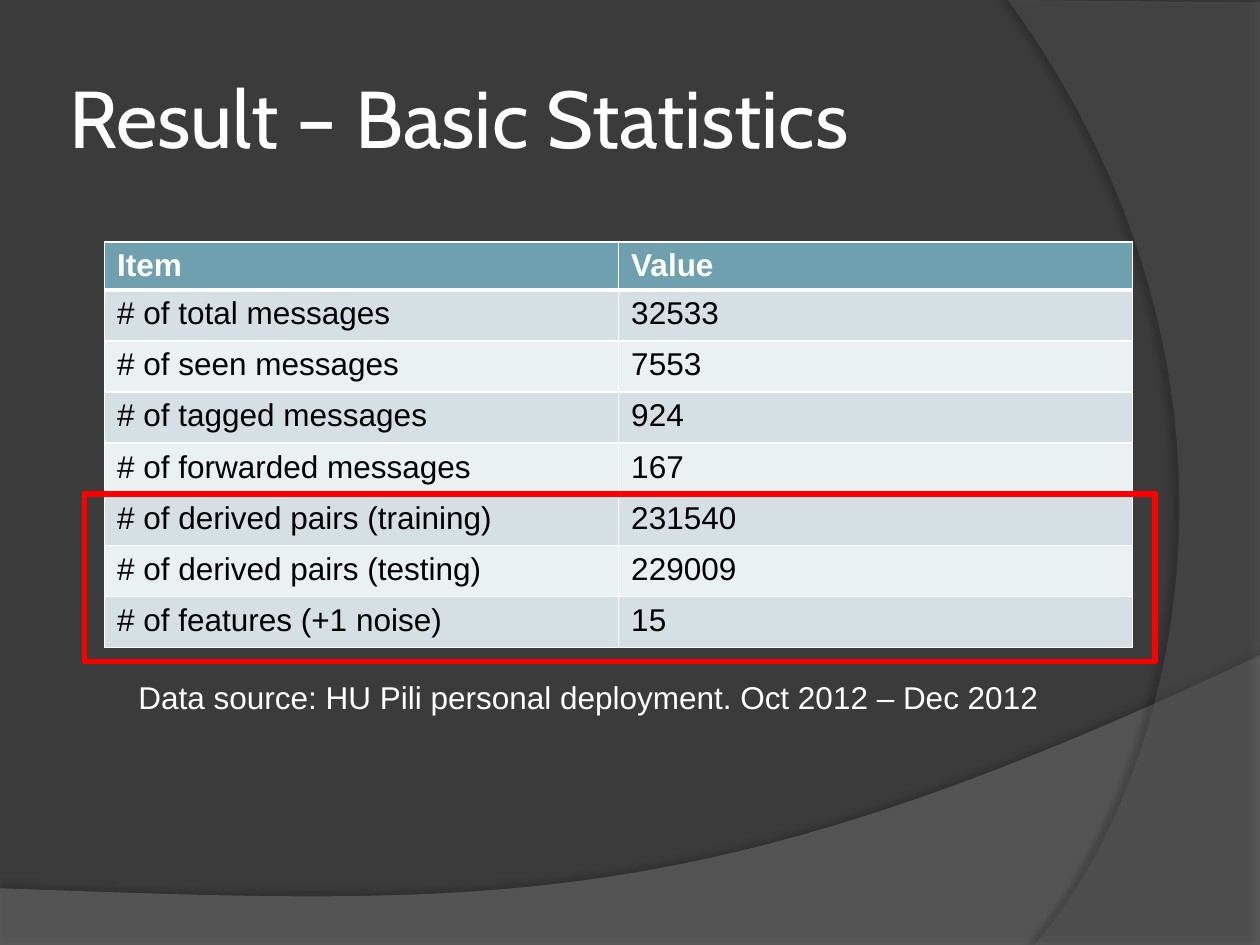
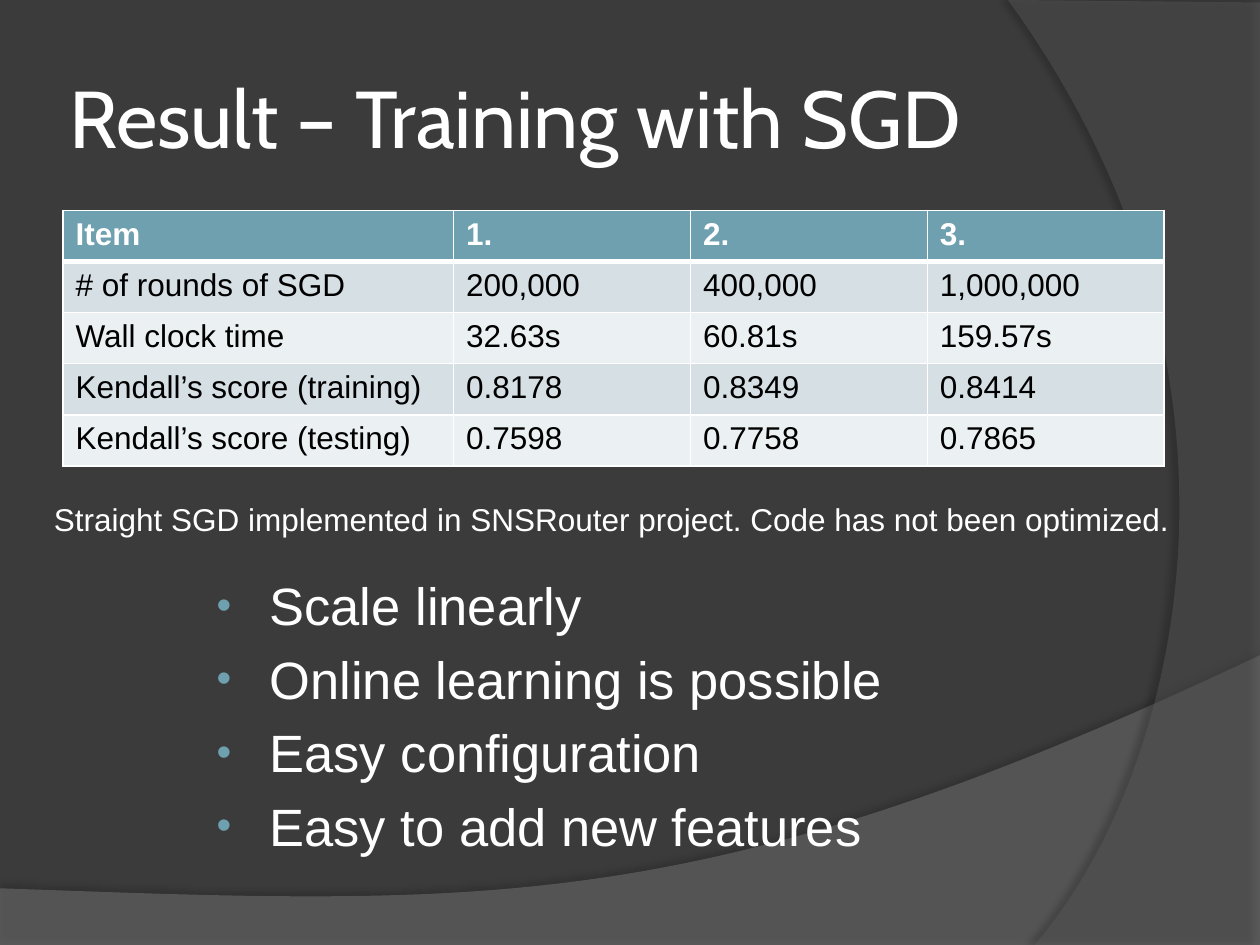
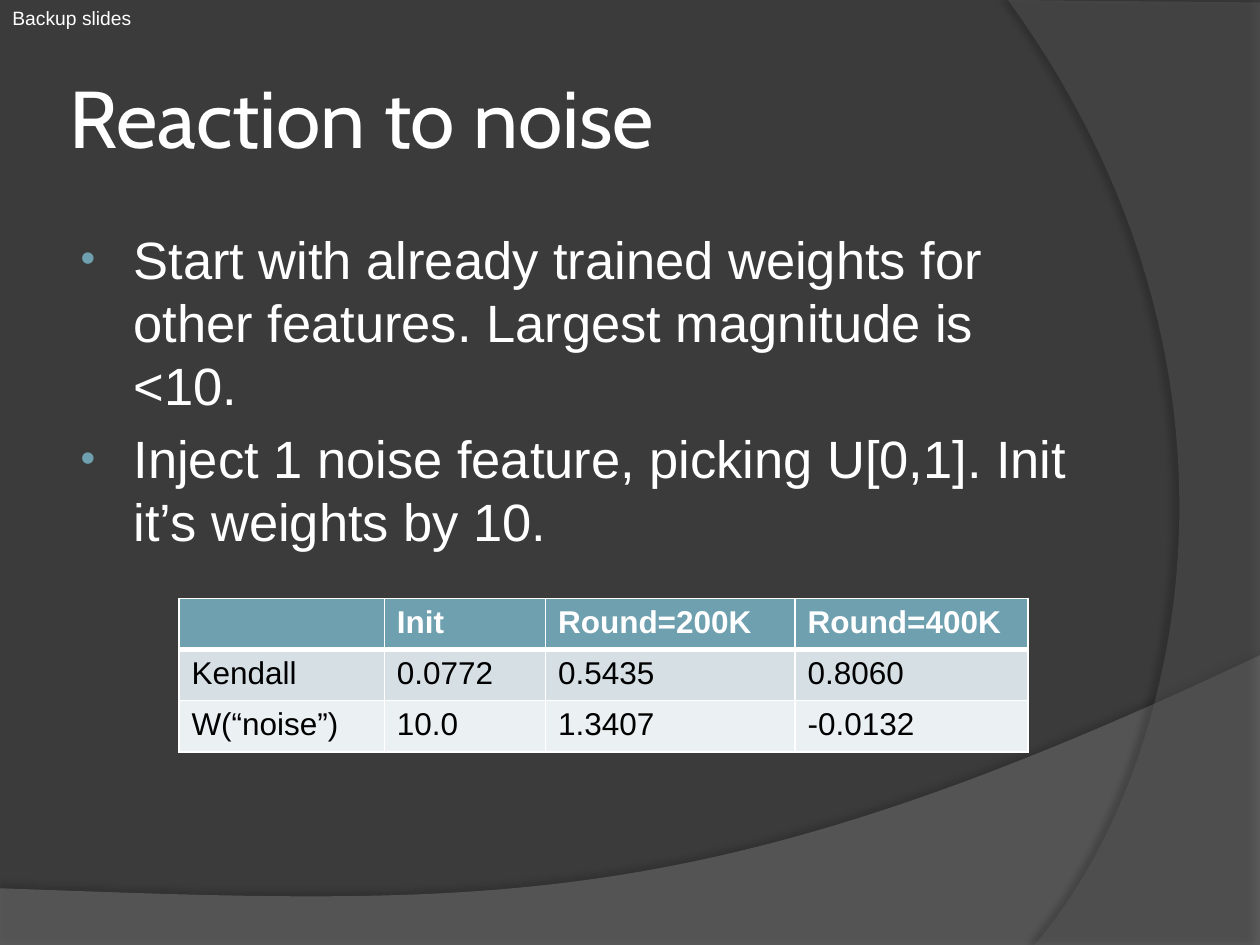
from lxml import etree
from pptx import Presentation
from pptx import util as u
from pptx.dml.color import RGBColor
from pptx.enum import shapes, text
from pptx.oxml import ns

FONTS = {"title": "Cabin", "body": "Arial"}
COLOURS = {
    "background": "3B3B3B", "hill": "7F7F7F", "arc": "5E5E5E", "shadow": "000000",
    "light": "FFFFFF", "dark": "000000", "accent": "6EA0B0",
    "odd_row": "D5DFE4", "even_row": "EBF0F2", "highlight": "FF0000",
}
TITLE_BOX = (0.5, 0.3, 8.17, 1.25)
ROW_HEIGHT = u.Pt(29.2)
CURVE_STEPS = 60

BANDS = [
    {"colour": "hill", "opacity": 45, "corners": [(0, 7.05), (0, 7.51), (10, 7.51), (10, 5.2)],
     "curve": [(10, 5.2), (5.59, 7.29), (3.91, 7.19), (0, 7.05)],
     "shadow": {"opacity": 35, "blur": 4, "distance": 3.5, "angle": 270}},
    {"colour": "arc", "opacity": 40, "corners": [(10, 0.02), (10, 7.5), (8.21, 7.5)],
     "curve": [(8.21, 7.5), (9.35, 6.19), (10.18, 3), (8, 0)],
     "shadow": {"opacity": 45, "blur": 4, "distance": 4, "angle": 180}},
]

SLIDES = [
    {"title": "Result – Basic Statistics",
     "table": {"left": 0.83, "top": 1.92, "columns": [4.08, 4.08], "header": u.Pt(27.4), "rows": [
         ("Item", "Value"),
         ("# of total messages", "32533"),
         ("# of seen messages", "7553"),
         ("# of tagged messages", "924"),
         ("# of forwarded messages", "167"),
         ("# of derived pairs (training)", "231540"),
         ("# of derived pairs (testing)", "229009"),
         ("# of features (+1 noise)", "15")]},
     "note": {"words": "Data source: HU Pili personal deployment. Oct 2012 – Dec 2012",
              "box": (1, 5.33, 7.58, 0.4), "size": 18},
     "highlight": (0.67, 3.92, 8.5, 1.33)},
    {"title": "Result – Training with SGD",
     "table": {"left": 0.5, "top": 1.67, "columns": [3.1, 1.88, 1.88, 1.88], "rows": [
         ("Item", "1.", "2.", "3."),
         ("# of rounds of SGD", "200,000", "400,000", "1,000,000"),
         ("Wall clock time", "32.63s", "60.81s", "159.57s"),
         ("Kendall’s score (training)", "0.8178", "0.8349", "0.8414"),
         ("Kendall’s score (testing)", "0.7598", "0.7758", "0.7865")]},
     "note": {"words": "Straight SGD implemented in SNSRouter project. Code has not been optimized.",
              "box": (0.33, 3.92, 10.25, 0.4), "size": 18},
     "bullets": {"box": (1.58, 4.5, 6.5, 2.42), "items": [
         "Scale linearly", "Online learning is possible",
         "Easy configuration", "Easy to add new features"]}},
    {"title": "Reaction to noise",
     "table": {"left": 1.42, "top": 4.75, "columns": [1.63, 1.28, 1.98, 1.85], "rows": [
         ("", "Init", "Round=200K", "Round=400K"),
         ("Kendall", "0.0772", "0.5435", "0.8060"),
         ("W(“noise”)", "10.0", "1.3407", "-0.0132")]},
     "note": {"words": "Backup slides", "box": (0, 0, 1.33, 0.29), "size": 11},
     "bullets": {"box": (0.5, 1.75, 8.17, 4.95), "items": [
         "Start with already trained weights for other features. Largest magnitude is <10.",
         "Inject 1 noise feature, picking U[0,1]. Init it’s weights by 10."]}},
]


def colour(name):
    return RGBColor.from_string(COLOURS[name])


def inches(values):
    return [u.Inches(value) for value in values]


def add_xml(parent, tag, **attributes):
    element = etree.SubElement(parent, ns.qn(tag))
    for key, value in attributes.items():
        element.set(key, str(value))
    return element


def place(shape, box):
    shape.left, shape.top, shape.width, shape.height = inches(box)


def write(paragraph, words, size=18, font="body", tint="light", bold=False):
    run = paragraph.add_run()
    run.text = words
    run.font.name = FONTS[font]
    run.font.size = u.Pt(size)
    run.font.bold = bold
    run.font.color.rgb = colour(tint)
    paragraph.alignment = text.PP_ALIGN.LEFT


def curve_points(controls):
    for step in range(1, CURVE_STEPS + 1):
        t = step / CURVE_STEPS
        weights = ((1 - t) ** 3, 3 * t * (1 - t) ** 2, 3 * t * t * (1 - t), t ** 3)
        yield tuple(sum(w * point[axis] for w, point in zip(weights, controls)) for axis in (0, 1))


def move_band_to_master(slide, master, band, position):
    points = [inches(point) for point in [*band["corners"], *curve_points(band["curve"])]]
    builder = slide.shapes.build_freeform(*points[0])
    builder.add_line_segments(points[1:], close=True)
    shape = builder.convert_to_shape()
    shape.fill.solid()
    shape.fill.fore_color.rgb = colour(band["colour"])
    shape.line.fill.background()
    shape.shadow.inherit = False
    fill = shape.element.spPr.find(ns.qn("a:solidFill"))
    add_xml(fill[0], "a:alpha", val=band["opacity"] * 1000)
    shadow = band["shadow"]
    effect = add_xml(shape.element.spPr.find(ns.qn("a:effectLst")), "a:outerShdw",
                     blurRad=u.Pt(shadow["blur"]), dist=u.Pt(shadow["distance"]),
                     dir=shadow["angle"] * 60000, rotWithShape=0)
    shade = add_xml(effect, "a:srgbClr", val=COLOURS["shadow"])
    add_xml(shade, "a:alpha", val=shadow["opacity"] * 1000)
    master.element.cSld.spTree.insert(position, shape.element)


def add_title(slide, words):
    title = slide.shapes.title
    place(title, TITLE_BOX)
    frame = title.text_frame
    frame.auto_size = text.MSO_AUTO_SIZE.NONE
    frame.vertical_anchor = text.MSO_ANCHOR.MIDDLE
    frame.margin_left = frame.margin_right = u.Inches(0.05)
    write(frame.paragraphs[0], words, size=46, font="title")


def add_borders(cell, row):
    properties = cell._tc.get_or_add_tcPr()
    widths = {"L": 1, "R": 1, "T": 3 if row == 1 else 1, "B": 3 if row == 0 else 1}
    for index, (side, width) in enumerate(widths.items()):
        line = add_xml(properties, f"a:ln{side}", w=u.Pt(width))
        add_xml(add_xml(line, "a:solidFill"), "a:srgbClr", val=COLOURS["light"])
        properties.insert(index, line)


def add_table(slide, left, top, columns, rows, header=ROW_HEIGHT):
    heights = [header] + [ROW_HEIGHT] * (len(rows) - 1)
    frame = slide.shapes.add_table(len(rows), len(columns), u.Inches(left), u.Inches(top),
                                   u.Inches(sum(columns)), sum(heights))
    table = frame.table
    for column, width in zip(table.columns, columns):
        column.width = u.Inches(width)
    for r, (values, height) in enumerate(zip(rows, heights)):
        table.rows[r].height = height
        is_header = r == 0
        fill = "accent" if is_header else "odd_row" if r % 2 else "even_row"
        for c, value in enumerate(values):
            cell = table.cell(r, c)
            cell.fill.solid()
            cell.fill.fore_color.rgb = colour(fill)
            add_borders(cell, r)
            if value:
                write(cell.text_frame.paragraphs[0], value,
                      tint="light" if is_header else "dark", bold=is_header)


def add_note(slide, words, box, size):
    frame = slide.shapes.add_textbox(*inches(box)).text_frame
    frame.word_wrap = True
    frame.auto_size = text.MSO_AUTO_SIZE.SHAPE_TO_FIT_TEXT
    write(frame.paragraphs[0], words, size=size)


def add_bullets(slide, box, items):
    body = slide.placeholders[1]
    place(body, box)
    frame = body.text_frame
    frame.auto_size = text.MSO_AUTO_SIZE.NONE
    for index, item in enumerate(items):
        paragraph = frame.add_paragraph() if index else frame.paragraphs[0]
        write(paragraph, item, size=30)
        properties = paragraph._p.get_or_add_pPr()
        properties.set("marL", str(u.Inches(0.46)))
        properties.set("indent", str(u.Inches(-0.42)))
        add_xml(add_xml(properties, "a:buClr"), "a:srgbClr", val=COLOURS["accent"])
        add_xml(properties, "a:buSzPct", val=80000)


def add_highlight(slide, box):
    shape = slide.shapes.add_shape(shapes.MSO_SHAPE.RECTANGLE, *inches(box))
    shape.shadow.inherit = False
    shape.fill.background()
    shape.line.color.rgb = colour("highlight")
    shape.line.width = u.Pt(3.25)


def main():
    presentation = Presentation()
    presentation.slide_width, presentation.slide_height = inches((10, 7.5))
    master = presentation.slide_master
    master.background.fill.solid()
    master.background.fill.fore_color.rgb = colour("background")
    title_and_content, title_only = presentation.slide_layouts[1], presentation.slide_layouts[5]

    for number, content in enumerate(SLIDES):
        layout = title_and_content if "bullets" in content else title_only
        slide = presentation.slides.add_slide(layout)
        if number == 0:
            for position, band in enumerate(BANDS, start=2):
                move_band_to_master(slide, master, band, position)
        add_title(slide, content["title"])
        add_table(slide, **content["table"])
        add_note(slide, **content["note"])
        if "bullets" in content:
            add_bullets(slide, **content["bullets"])
        if "highlight" in content:
            add_highlight(slide, content["highlight"])

    presentation.save("out.pptx")


if __name__ == "__main__":
    main()
